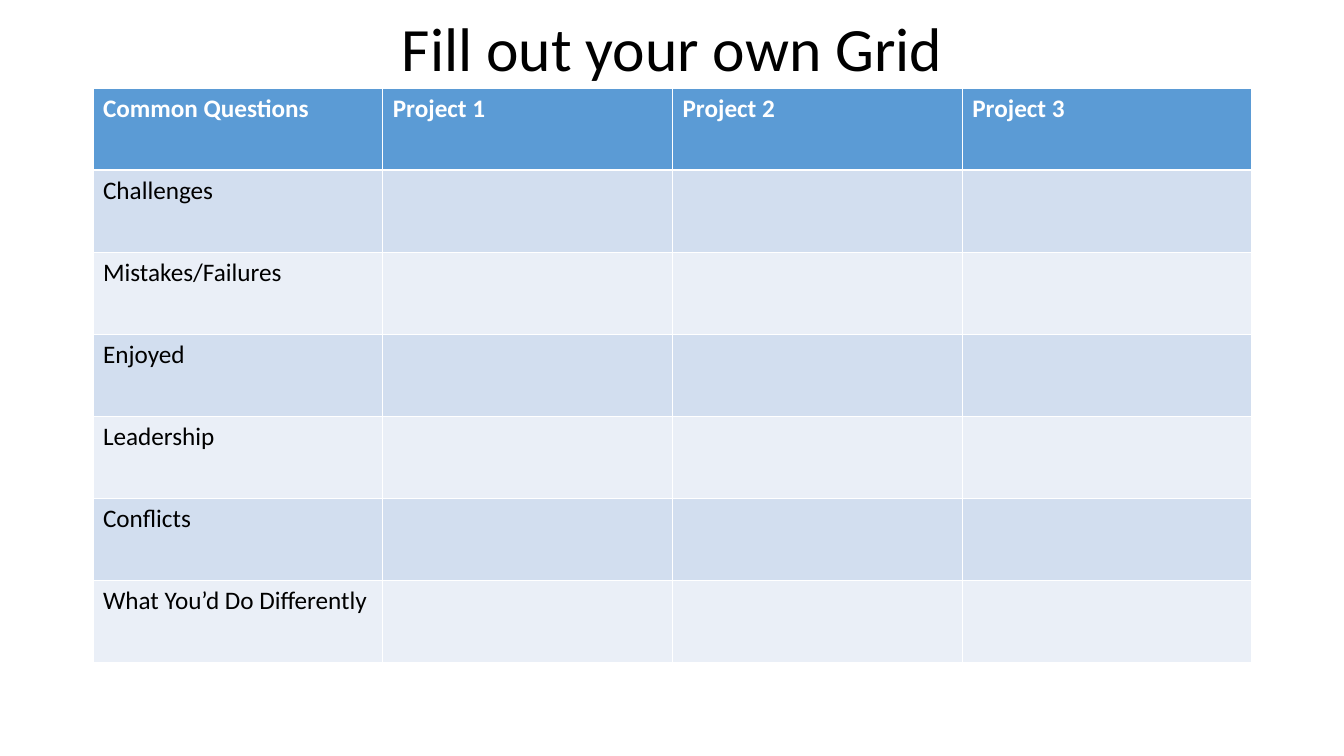
from pptx import Presentation
from pptx.dml.color import RGBColor
from pptx.enum.text import MSO_ANCHOR, PP_ALIGN
from pptx.util import Pt

EMU_PER_PX = 914400 / 100.8
FONT = "Calibri"
BLACK = RGBColor(0x00, 0x00, 0x00)
WHITE = RGBColor(0xFF, 0xFF, 0xFF)
HEADER_BLUE = RGBColor(0x5B, 0x9B, 0xD5)
BAND_DARK = RGBColor(0xD2, 0xDE, 0xEF)
BAND_LIGHT = RGBColor(0xEA, 0xEF, 0xF7)

HEADINGS = ["Common Questions", "Project 1", "Project 2", "Project 3"]
QUESTIONS = ["Challenges", "Mistakes/Failures", "Enjoyed", "Leadership",
             "Conflicts", "What You’d Do Differently"]


def px(length):
    """Turn pixels into EMU."""
    return round(length * EMU_PER_PX)


def style(paragraph, size, color, bold=False):
    """Set the font of a whole paragraph."""
    font = paragraph.font
    font.name, font.size, font.bold = FONT, Pt(size), bold
    font.color.rgb = color


def add_title(slide, box, wording):
    """Place the centred title in its box."""
    frame = slide.shapes.add_textbox(*map(px, box)).text_frame
    frame.word_wrap = True
    frame.vertical_anchor = MSO_ANCHOR.MIDDLE
    heading = frame.paragraphs[0]
    heading.text = wording
    heading.alignment = PP_ALIGN.CENTER
    heading.line_spacing = 0.9
    style(heading, 44, BLACK)


def add_grid(slide, box, headings, questions):
    """Fill the box with headings above banded rows, one per question.

    The default table style supplies the white cell borders.
    """
    lines = [headings] + [[question] + [""] * (len(headings) - 1)
                          for question in questions]
    grid = slide.shapes.add_table(len(lines), len(headings), *map(px, box)).table
    for r, line in enumerate(lines):
        is_header = r == 0
        band = HEADER_BLUE if is_header else BAND_DARK if r % 2 else BAND_LIGHT
        for c, wording in enumerate(line):
            cell = grid.cell(r, c)
            cell.fill.solid()
            cell.fill.fore_color.rgb = band
            cell.text = wording
            style(cell.text_frame.paragraphs[0], 18,
                  WHITE if is_header else BLACK, is_header)


deck = Presentation()
deck.slide_width, deck.slide_height = px(1344), px(756)
grid_slide = deck.slides.add_slide(deck.slide_layouts[6])
add_title(grid_slide, (93, -21, 1159, 146), "Fill out your own Grid")
add_grid(grid_slide, (93, 88, 1159, 575), HEADINGS, QUESTIONS)
deck.save("out.pptx")
